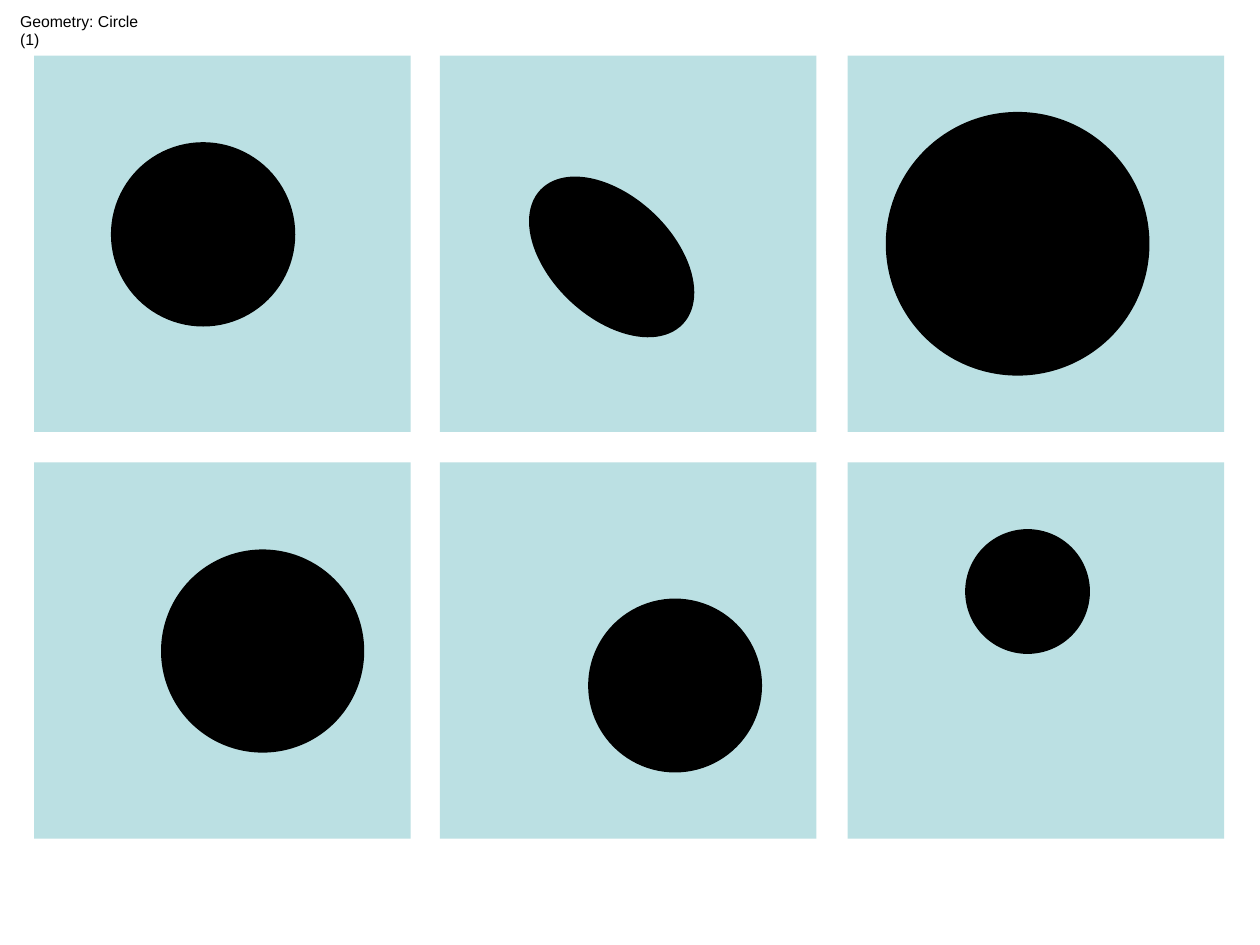
"""Build a slide of six square panels, each holding a black disc."""
from dataclasses import dataclass
from itertools import product

from pptx import Presentation
from pptx.dml.color import RGBColor
from pptx.enum.shapes import MSO_SHAPE as Preset
from pptx.enum.text import MSO_ANCHOR as Anchor, MSO_AUTO_SIZE as AutoSize, PP_ALIGN as Align
from pptx.shapes.autoshape import Shape
from pptx.slide import Slide
from pptx.util import Cm, Pt

BLACK = RGBColor(0x00, 0x00, 0x00)
PALE_TEAL = RGBColor(0xBB, 0xE0, 0xE3)

PANEL_SIDE = 7.59
PANEL_LEFTS = (0.69, 8.87, 17.09)
PANEL_TOPS = (1.12, 9.32)


@dataclass(frozen=True)
class Disc:
    left: float
    top: float
    width: float
    height: float
    rotation: float = 0


DISCS = (
    Disc(2.29, 2.92, 3.61, 3.61),
    Disc(10.41, 4.01, 3.84, 2.34, rotation=43.2),
    Disc(17.91, 2.31, 5.21, 5.21),
    Disc(3.3, 11.13, 3.99, 3.99),
    Disc(11.91, 12.12, 3.4, 3.4),
    Disc(19.51, 10.72, 2.41, 2.41),
)


def add_filled(page: Slide, preset: Preset, left: float, top: float,
               width: float, height: float, color: RGBColor) -> Shape:
    shape = page.shapes.add_shape(preset, Cm(left), Cm(top), Cm(width), Cm(height))
    shape.shadow.inherit = False
    shape.fill.solid()
    shape.fill.fore_color.rgb = color
    shape.line.fill.background()
    return shape


def add_disc(page: Slide, disc: Disc) -> None:
    shape = add_filled(page, Preset.OVAL, disc.left, disc.top, disc.width, disc.height, BLACK)
    shape.rotation = disc.rotation
    shape.line.color.rgb = BLACK
    shape.line.width = Pt(3)


def set_title(page: Slide, text: str) -> None:
    title = page.shapes.title
    title.left, title.top, title.width, title.height = Cm(0.15), Cm(0.1), Cm(3.35), Cm(0.64)
    box = title.text_frame
    box.word_wrap = False
    box.auto_size = AutoSize.SHAPE_TO_FIT_TEXT
    box.vertical_anchor = Anchor.TOP
    para = box.paragraphs[0]
    para.alignment = Align.LEFT
    span = para.add_run()
    span.text = text
    span.font.name = "Arial"
    span.font.size = Pt(9)
    span.font.color.rgb = BLACK


def main() -> None:
    deck = Presentation()
    deck.slide_width, deck.slide_height = Cm(25.4), Cm(19.05)
    page = deck.slides.add_slide(deck.slide_layouts[5])
    set_title(page, "Geometry: Circle (1)")
    for top, left in product(PANEL_TOPS, PANEL_LEFTS):
        add_filled(page, Preset.RECTANGLE, left, top, PANEL_SIDE, PANEL_SIDE, PALE_TEAL)
    for disc in DISCS:
        add_disc(page, disc)
    deck.save("out.pptx")


if __name__ == "__main__":
    main()
